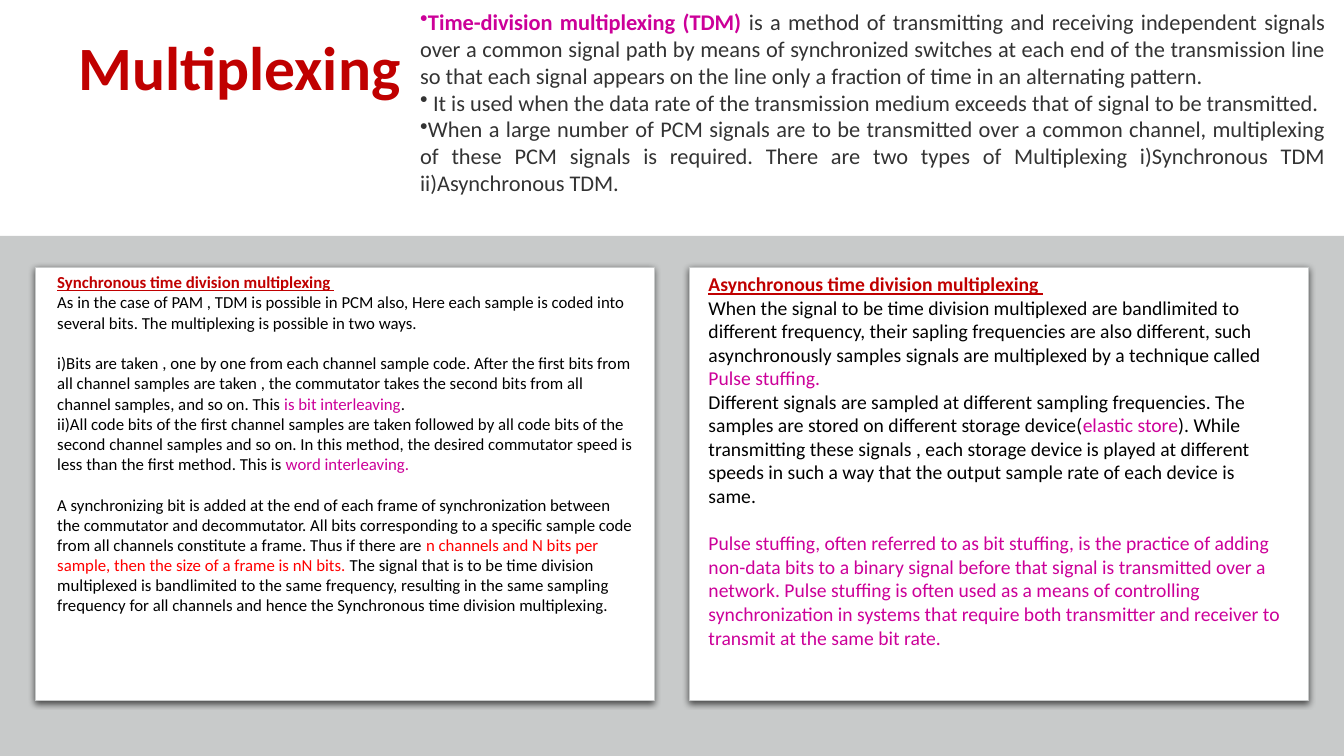
from lxml import etree
from pptx import Presentation
from pptx.dml.color import RGBColor
from pptx.enum import shapes, text
from pptx.oxml import ns
from pptx.util import Pt

WHITE = RGBColor(0xFF, 0xFF, 0xFF)
BLACK = RGBColor(0, 0, 0)
GREY = RGBColor(0xC8, 0xCA, 0xCA)
CHARCOAL = RGBColor(0x33, 0x33, 0x33)
CRIMSON = RGBColor(0xC0, 0, 0)
RED = RGBColor(0xFF, 0, 0)
MAGENTA = RGBColor(0xCC, 0, 0x99)

FONT = "Calibri"
LINE_HEIGHT = 1.22

INTRODUCTION = [
    [("Time-division multiplexing (TDM) ", MAGENTA),
     ("is a method of transmitting and receiving independent signals over a common signal path by means of "
      "synchronized switches at each end of the transmission line so that each signal appears on the line only "
      "a fraction of time in an alternating pattern.", CHARCOAL)],
    [(" It is used when the data rate of the transmission medium exceeds that of signal to be transmitted. ",
      CHARCOAL)],
    [("When a large number of PCM signals are to be transmitted over a common channel, multiplexing of these PCM "
      "signals is required. There are two types of Multiplexing i)Synchronous TDM ii)Asynchronous TDM.",
      CHARCOAL)],
]

SYNCHRONOUS = [
    [("As in the case of PAM , TDM is possible in PCM also, Here each sample is coded into several bits. "
      "The multiplexing is possible in two ways.", BLACK)],
    [("i)Bits are taken , one by one from each channel sample code. After the first bits from all channel samples "
      "are taken , the commutator takes the second bits from all channel samples, and so on. This ", BLACK),
     ("is bit interleaving", MAGENTA), (".", BLACK)],
    [("ii)All code bits of the first channel samples are taken followed by all code bits of the second channel "
      "samples and so on. In this method, the desired commutator speed is less than the first method. This is ",
      BLACK),
     ("word interleaving.", MAGENTA)],
    [("A synchronizing bit is added at the end of each frame of synchronization between the commutator and "
      "decommutator. All bits corresponding to a specific sample code from all channels constitute a frame. "
      "Thus if there are ", BLACK),
     ("n channels and N bits per sample, then the size of a frame is nN bits.", RED),
     (" The signal that is to be time division multiplexed is bandlimited to the same frequency, resulting in the "
      "same sampling frequency for all channels and hence the Synchronous time division multiplexing.", BLACK)],
]

ASYNCHRONOUS = [
    [("When the signal to be time division multiplexed are bandlimited to different frequency, their sapling "
      "frequencies are also different, such asynchronously samples signals are multiplexed by a technique called ",
      BLACK),
     ("Pulse stuffing.", MAGENTA)],
    [("Different signals are sampled at different sampling frequencies. The samples are stored on different "
      "storage device(", BLACK),
     ("elastic store", MAGENTA),
     ("). While transmitting these signals , each storage device is played at different speeds in such a way that "
      "the output sample rate of each device is same.", BLACK)],
    [("Pulse stuffing, often referred to as bit stuffing, is the practice of adding non-data bits to a binary "
      "signal before that signal is transmitted over a network. Pulse stuffing is often used as a means of "
      "controlling synchronization in systems that require both transmitter and receiver to transmit at the same "
      "bit rate.", MAGENTA)],
]


def add_panel(slide, kind, left, top, width, height, fill):
    shape = slide.shapes.add_shape(kind, Pt(left), Pt(top), Pt(width), Pt(height))
    shape.shadow.inherit = False
    shape.fill.solid()
    shape.fill.fore_color.rgb = fill
    shape.line.fill.background()
    return shape


def add_card(slide, left):
    card = add_panel(slide, shapes.MSO_SHAPE.ROUNDED_RECTANGLE, left, 190.8, 442, 309.6, WHITE)
    card.adjustments[0] = 0
    card.line.color.rgb = GREY
    card.line.width = Pt(0.75)
    effects = card._element.spPr.find(ns.qn("a:effectLst"))
    shadow = etree.SubElement(effects, ns.qn("a:outerShdw"), blurRad=str(Pt(4.5)), dist=str(Pt(1.5)),
                              dir="5400000", algn="ctr", rotWithShape="0")
    color = etree.SubElement(shadow, ns.qn("a:srgbClr"), val="000000")
    etree.SubElement(color, ns.qn("a:alpha"), val="63000")


def add_text_frame(slide, left, top, width, height):
    frame = slide.shapes.add_textbox(Pt(left), Pt(top), Pt(width), Pt(height)).text_frame
    frame.word_wrap = True
    return frame


def next_paragraph(frame):
    first = frame.paragraphs[0]
    return frame.add_paragraph() if first.runs else first


def add_runs(paragraph, pieces, size):
    paragraph.font.name = FONT
    paragraph.font.size = Pt(size)
    for words, color in pieces:
        run = paragraph.add_run()
        run.text = words
        run.font.color.rgb = color


def add_title(slide):
    paragraph = add_text_frame(slide, 49, 23, 392.4, 127.4).paragraphs[0]
    paragraph.line_spacing = 0.9
    add_runs(paragraph, [("Multiplexing", CRIMSON)], 44)
    paragraph.font.bold = True


def add_introduction(slide):
    frame = add_text_frame(slide, 293, 2.2, 661, 143.3)
    for pieces in INTRODUCTION:
        paragraph = next_paragraph(frame)
        paragraph.alignment = text.PP_ALIGN.JUSTIFY
        etree.SubElement(paragraph._p.get_or_add_pPr(), ns.qn("a:buChar"), char="•")
        add_runs(paragraph, pieces, 16)
    frame.paragraphs[0].runs[0].font.bold = True


def add_section(slide, left, width, height, size, heading, body, spaced):
    frame = add_text_frame(slide, left, 190.8, width, height)
    paragraph = next_paragraph(frame)
    add_runs(paragraph, [(heading, CRIMSON)], size)
    paragraph.font.bold = True
    paragraph.font.underline = True
    for index, pieces in enumerate(body):
        paragraph = next_paragraph(frame)
        if index in spaced:
            paragraph.space_before = Pt(round(size * LINE_HEIGHT, 1))
        add_runs(paragraph, pieces, size)


def main():
    presentation = Presentation()
    presentation.slide_width = Pt(960)
    presentation.slide_height = Pt(540)
    slide = presentation.slides.add_slide(presentation.slide_layouts[6])
    add_panel(slide, shapes.MSO_SHAPE.RECTANGLE, 0, 168.5, 960, 371.5, GREY)
    for left in (25.2, 492.5):
        add_card(slide, left)
    add_title(slide)
    add_section(slide, 33.8, 428.4, 254.2, 12, "Synchronous time division multiplexing ", SYNCHRONOUS, (1, 3))
    add_section(slide, 499, 427, 278.6, 14, "Asynchronous time division multiplexing ", ASYNCHRONOUS, (2,))
    add_introduction(slide)
    presentation.save("out.pptx")


if __name__ == "__main__":
    main()
